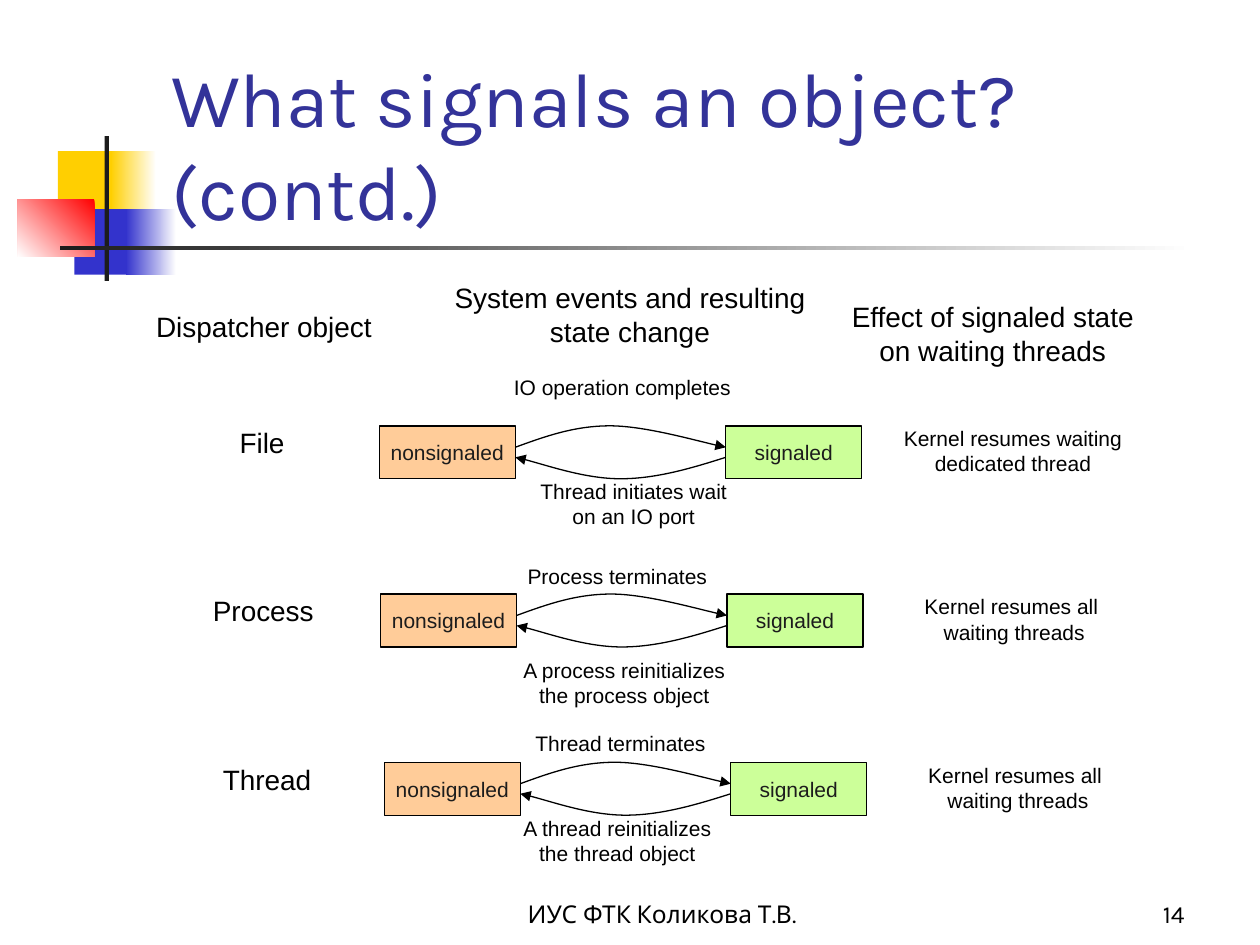
"""Build the slide on which events signal file, process and thread objects."""
from lxml import etree
from pptx import Presentation
from pptx.dml.color import RGBColor
from pptx.enum.shapes import MSO_SHAPE
from pptx.enum.text import MSO_ANCHOR, MSO_AUTO_SIZE, PP_ALIGN
from pptx.oxml.ns import qn
from pptx.util import Inches, Pt

RECTANGLE = MSO_SHAPE.RECTANGLE
TOP, MIDDLE, BOTTOM = MSO_ANCHOR.TOP, MSO_ANCHOR.MIDDLE, MSO_ANCHOR.BOTTOM
LEFT, CENTER, RIGHT = PP_ALIGN.LEFT, PP_ALIGN.CENTER, PP_ALIGN.RIGHT
FIT_SHAPE = MSO_AUTO_SIZE.SHAPE_TO_FIT_TEXT
COLORS = {
    "white": "FFFFFF", "black": "000000", "ink": "1C1C1C", "title": "333399",
    "yellow": "FFCF01", "blue": "3333CC", "red": "FF0000",
    "nonsignaled": "FFCC99", "signaled": "CCFF99",
}
RGB = {name: RGBColor.from_string(value) for name, value in COLORS.items()}

presentation = Presentation()
presentation.slide_width, presentation.slide_height = Inches(10), Inches(7.5)
COLUMN = presentation.slide_width / 100
ROW = presentation.slide_height / 75
slide = presentation.slides.add_slide(presentation.slide_layouts[6])


def add_rectangle(left, top, width, height):
    shape = slide.shapes.add_shape(
        RECTANGLE, int(left * COLUMN), int(top * ROW), int(width * COLUMN), int(height * ROW))
    shape.shadow.inherit = False
    shape.line.fill.background()
    return shape


def write(shape, text, size, color="black", font="Arial", align=CENTER, anchor=TOP, wrap=False):
    frame = shape.text_frame
    frame.text = text
    frame.word_wrap = wrap
    frame.vertical_anchor = anchor
    for paragraph in frame.paragraphs:
        paragraph.alignment = align
        for run in paragraph.runs:
            run.font.size = Pt(size)
            run.font.name = font
            run.font.color.rgb = RGB[color]


decorations = [
    (4.6, 12, 4.8, 5.2, ["yellow"], 0),
    (8.8, 12, 3.6, 5.2, ["white", "yellow"], 180),
    (5.9, 16.6, 4.6, 5.2, ["blue"], 0),
    (10, 16.6, 4, 5.2, ["white", "blue"], 180),
    (1.4, 15.8, 6.1, 4.6, ["red", "white"], 225),
    (8.3, 10.8, 0.35, 11.5, ["ink"], 0),
    (4.8, 19.5, 90, 0.35, ["white", "ink"], 180),
]
for left, top, width, height, colors, angle in decorations:
    fill = add_rectangle(left, top, width, height).fill
    if len(colors) == 1:
        fill.solid()
        fill.fore_color.rgb = RGB[colors[0]]
    else:
        fill.gradient()
        fill.gradient_angle = angle
        for stop, color in zip(fill.gradient_stops, colors):
            stop.color.rgb = RGB[color]

framed_texts = [
    (12.6, 6.7, 85.2, 12.5, "What signals an object? (contd.)", 44, "title", LEFT),
    (36.7, 69.2, 31.7, 5, "ИУС ФТК Коликова Т.В.", 14, "black", CENTER),
    (74.2, 69.2, 20.8, 5, "14", 14, "black", RIGHT),
]
for left, top, width, height, text, size, color, align in framed_texts:
    box = slide.shapes.add_textbox(
        int(left * COLUMN), int(top * ROW), int(width * COLUMN), int(height * ROW))
    write(box, text, size, color, "Karla", align, BOTTOM, True)

STATE_WIDTH, STATE_HEIGHT, STATE_STEP = 10.8, 4.2, 27.5
CURVE_WIDTH, CURVE_HEIGHT = 16.7, 1.7
FIRST_TOP, ROW_STEP = 33.8, 13.35
CURVES = [
    (0, [(0, 1), (0.14, 0.5), (0.28, 0), (0.45, 0), (0.61, 0), (0.91, 0.83), (1, 1)]),
    (2.5, [(1, 0), (0.84, 0.5), (0.67, 1), (0.5, 1), (0.33, 1), (0.09, 0.17), (0, 0)]),
]
labels = [
    (20.95, 24.1, 20, "Dispatcher object", 16),
    (50, 21.8, 32, "System events and resulting\vstate change", 16),
    (78.8, 23.3, 26, "Effect of signaled state\von waiting threads", 16),
]
dispatchers = [
    (30.1, "File", (49.4, 29.2, "IO operation completes"),
     (50.3, 37.5, "Thread initiates wait\non an IO port"),
     "Kernel resumes waiting\vdedicated thread"),
    (30.2, "Process", (49, 44.2, "Process terminates"),
     (49.55, 51.7, "A process reinitializes\vthe process object"),
     "Kernel resumes all \vwaiting threads"),
    (30.5, "Thread", (49.25, 57.5, "Thread terminates"),
     (49, 64.2, "A thread reinitializes\vthe thread object"),
     "Kernel resumes all \vwaiting threads"),
]
for index, (state_left, name, event, reset, effect) in enumerate(dispatchers):
    state_top = FIRST_TOP + index * ROW_STEP
    for step, state in enumerate(["nonsignaled", "signaled"]):
        shape = add_rectangle(
            state_left + step * STATE_STEP, state_top, STATE_WIDTH, STATE_HEIGHT)
        shape.fill.solid()
        shape.fill.fore_color.rgb = RGB[state]
        shape.line.color.rgb = RGB["black"]
        shape.line.width = Pt(0.75)
        write(shape, state, 12, "ink", anchor=MIDDLE)

    for offset, shares in CURVES:
        points = [
            (int((state_left + STATE_WIDTH + x * CURVE_WIDTH) * COLUMN),
             int((state_top + offset + y * CURVE_HEIGHT) * ROW)) for x, y in shares]
        builder = slide.shapes.build_freeform(*points[0])
        builder.add_line_segments(points[1:], close=False)
        curve = builder.convert_to_shape()
        curve.shadow.inherit = False
        curve.fill.background()
        curve.line.color.rgb = RGB["black"]
        curve.line.width = Pt(0.75)
        segments = list(curve.element.iter(qn("a:lnTo")))
        for start in range(0, len(segments), 3):
            bezier = etree.SubElement(segments[start].getparent(), qn("a:cubicBezTo"))
            for segment in segments[start:start + 3]:
                bezier.append(segment[0])
                segment.getparent().remove(segment)
        outline = curve.element.spPr.find(qn("a:ln"))
        etree.SubElement(outline, qn("a:tailEnd"), type="triangle")

    labels += [
        (state_left - 9.3, state_top - 0.5, 11, name, 16),
        (event[0], event[1], 20, event[2], 12),
        (reset[0], reset[1], 19, reset[2], 12),
        (state_left + 50.3, state_top - 0.5, 20, effect, 12),
    ]

for center, top, width, text, size in labels:
    line_count = len(text.splitlines())
    height = 1 + line_count * size / 6
    box = slide.shapes.add_textbox(
        int((center - width / 2) * COLUMN), int(top * ROW), int(width * COLUMN), int(height * ROW))
    write(box, text, size)
    box.text_frame.auto_size = FIT_SHAPE

presentation.save("out.pptx")
